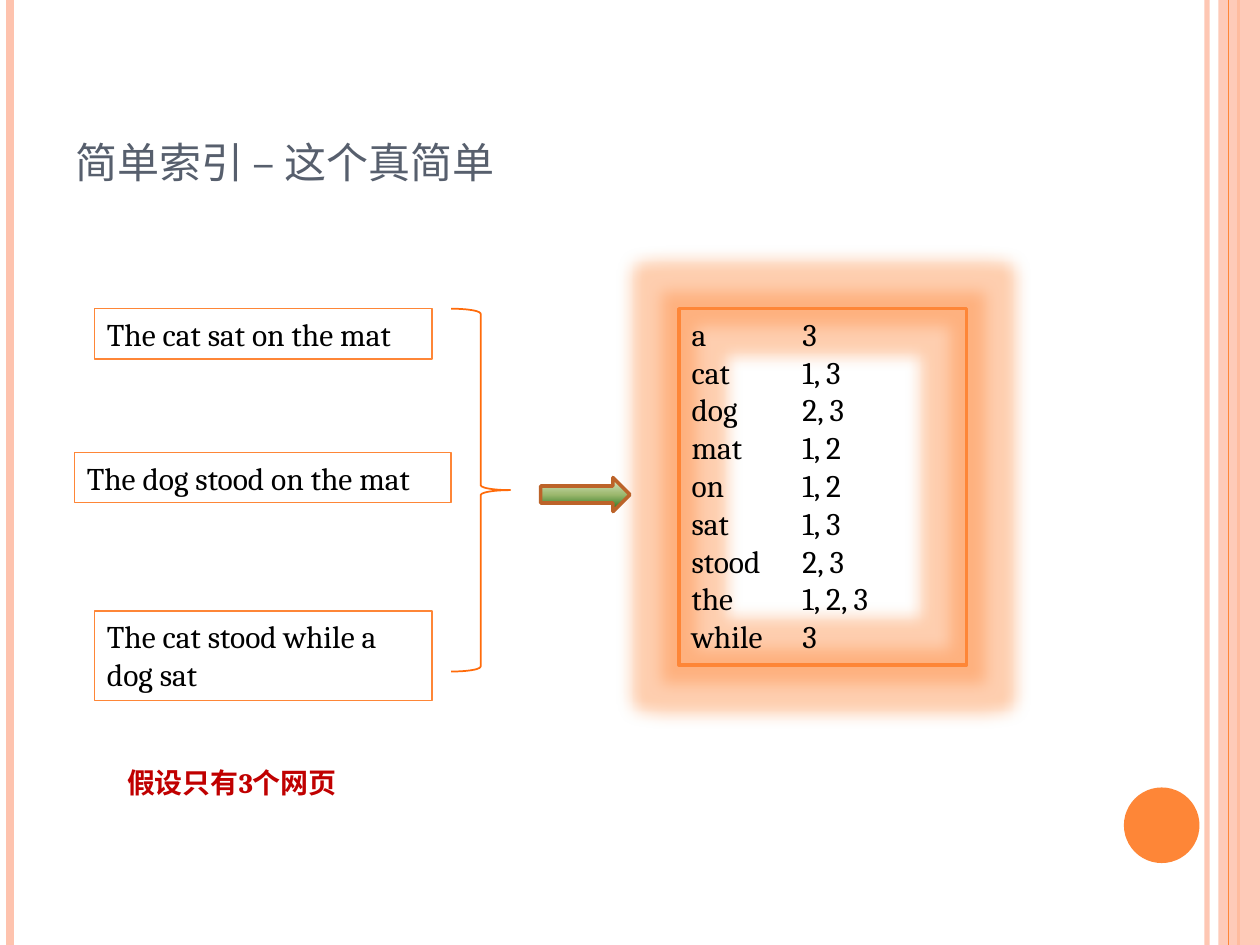
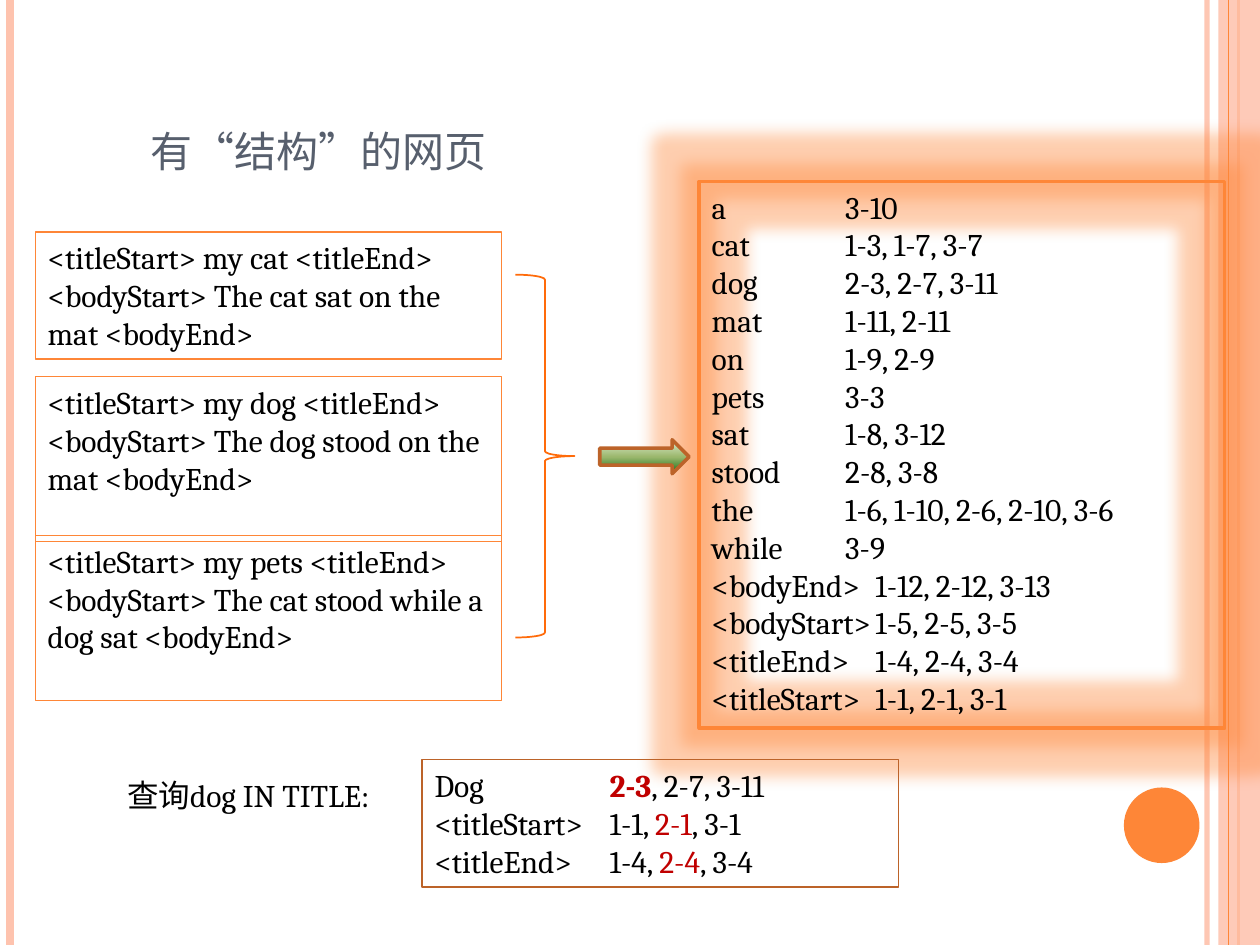
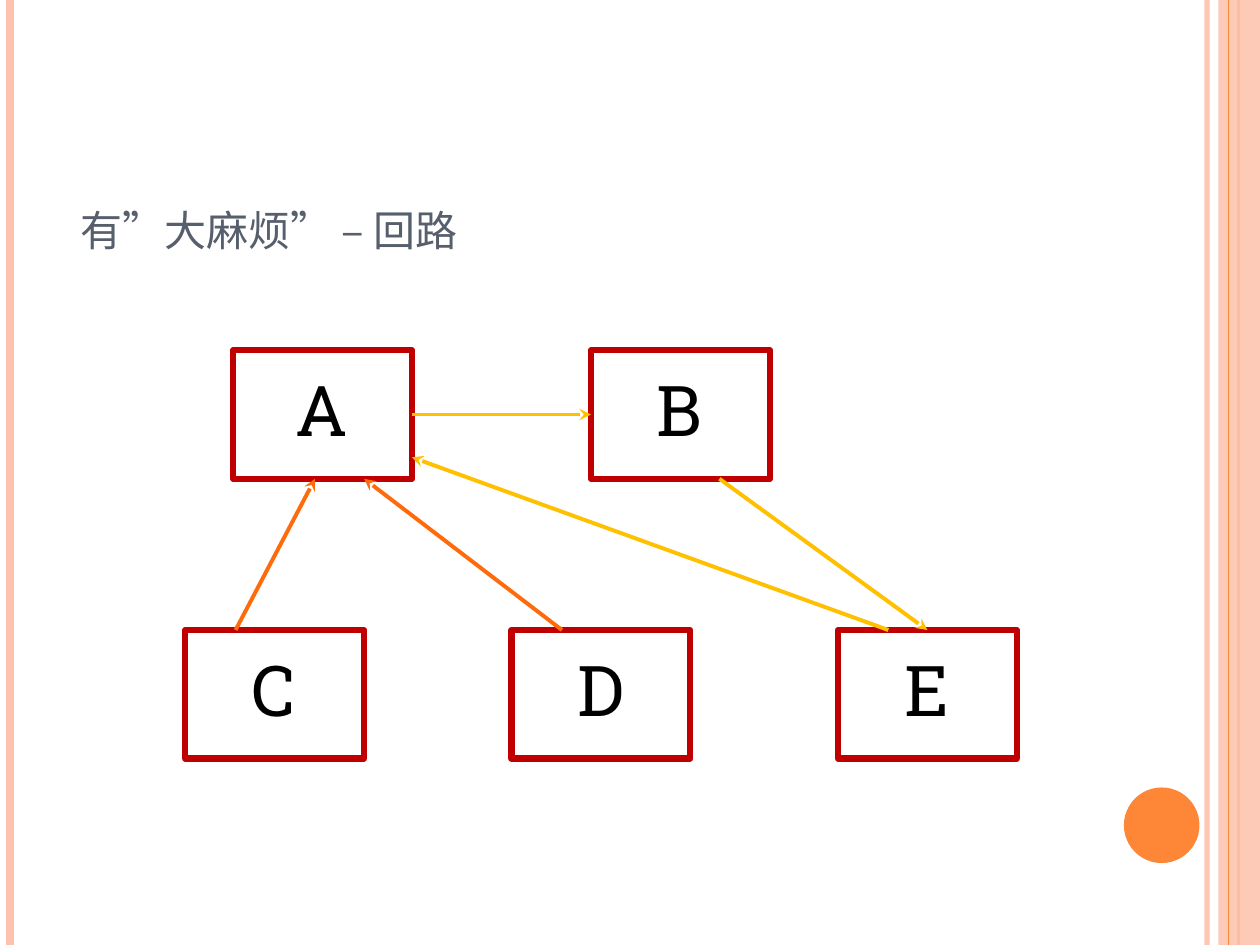
"""Three slides on building a web index, with a shared frame and title style."""
from lxml import etree
from pptx import Presentation
from pptx import util as u
from pptx.dml.color import RGBColor
from pptx.enum import shapes, text
from pptx.oxml import ns

HUES = {"ink": "000000", "title": "575F6D", "main": "FE8637", "pale": "FEC3AE",
        "deep": "FF6B0A", "rust": "BC6329", "red": "C00000", "gold": "FFC000"}
GREENS = {0: "DDEBCF", 50: "9CB86E", 100: "156B13"}
BODY, SLAB = "Cambria", "Roboto Slab"
KIND = shapes.MSO_SHAPE
WIDE, HIGH = 1.42, 1.02


def hue(name):
    """Return the named colour."""
    return RGBColor.from_string(HUES[name])


def sub(node, tag, **attrs):
    """Add a drawing element below a node."""
    child = etree.SubElement(node, ns.qn(tag))
    for key, val in attrs.items():
        child.set(key, str(val))
    return child


def fade(fill, share):
    """Set the opacity of a solid fill in percent."""
    color = fill._xPr.find(".//" + ns.qn("a:srgbClr"))
    sub(color, "a:alpha", val=share * 1000)


def edge(item, name, width):
    """Set the line of a shape or connector."""
    item.line.color.rgb = hue(name)
    item.line.width = u.Pt(width)


def shape(home, kind, at, fill=None, line=None, width=1):
    """Add a preset shape without shadow."""
    item = home.add_shape(kind, *map(u.Inches, at))
    item.shadow.inherit = False
    if fill:
        item.fill.solid()
        item.fill.fore_color.rgb = hue(fill)
    else:
        item.fill.background()
    if line:
        edge(item, line, width)
    else:
        item.line.fill.background()
    return item


def link(home, start, end, name, width, head=False):
    """Add a straight line, with an arrowhead at its end on request."""
    item = home.add_connector(shapes.MSO_CONNECTOR.STRAIGHT,
                              *map(u.Inches, (*start, *end)))
    edge(item, name, width)
    if head:
        sub(item.line._ln, "a:tailEnd", type="stealth")
    sub(item._element.spPr, "a:effectLst")
    return item


def stops(para, tabs):
    """Set the tab stops of a paragraph."""
    props = para._p.get_or_add_pPr()
    group = etree.Element(ns.qn("a:tabLst"))
    for tab in tabs:
        sub(group, "a:tab", pos=u.Inches(tab), algn="l")
    props.insert(0, group)


def write(home, at, rows, size=18, name="ink", font=BODY, bold=False, tabs=()):
    """Add a text box; a row is a string or a list of (words, colour, bold)."""
    box = home.add_textbox(*map(u.Inches, at))
    frame = box.text_frame
    frame.word_wrap = True
    for num, row in enumerate(rows):
        para = frame.add_paragraph() if num else frame.paragraphs[0]
        para.font.size, para.font.name = u.Pt(size), font
        para.font.bold, para.font.color.rgb = bold, hue(name)
        if tabs:
            stops(para, tabs)
        for words, tint, heavy in [(row, None, None)] if isinstance(row, str) else row:
            run = para.add_run()
            run.text = words
            if tint:
                run.font.color.rgb, run.font.bold = hue(tint), heavy
    return box


def title(home, at, words):
    """Add a small-caps title that sits on the bottom of its box."""
    box = write(home, at, [words], 30, "title")
    box.text_frame.vertical_anchor = text.MSO_ANCHOR.BOTTOM
    box.text_frame.paragraphs[0].runs[0]._r.get_or_add_rPr().set("cap", "small")


def page(deck, at, words):
    """Add a slide with the side bands, the disc and a title."""
    home = deck.slides.add_slide(deck.slide_layouts[6]).shapes

    def rule(x, name, width):
        return link(home, (x, 0), (x, 7.5), name, width)

    fade(rule(9.58, "pale", 3).line.fill, 93)
    rule(0.08, "pale", 4.5)
    rule(9.83, "main", 1.5)
    fade(shape(home, KIND.RECTANGLE, (9.67, 0, 0.33, 7.5), "pale").fill, 87)
    rule(9.75, "main", 0.75)
    shape(home, KIND.OVAL, (8.92, 6.25, 0.6, 0.6), "main")
    title(home, at, words)
    return home


def card(home, at, rows, name="main", **style):
    """Add a text box with a thin border."""
    edge(write(home, at, rows, **style), name, 0.75)


def index(home, at, rows, tabs):
    """Add a glowing box of index entries."""
    box = write(home, at, rows, tabs=tabs)
    edge(box, "main", 2)
    glow = sub(sub(box._element.spPr, "a:effectLst"), "a:glow", rad=u.Pt(18))
    sub(sub(glow, "a:srgbClr", val=HUES["main"]), "a:alpha", val=40000)


def brace(home, x, y):
    """Add the brace that gathers the pages."""
    item = shape(home, KIND.RIGHT_BRACE, (x, y, 0.47, 2.88), line="deep")
    item.adjustments[0], item.adjustments[1] = 0.083, 0.5


def arrow(home, x, y):
    """Add the green block arrow."""
    item = shape(home, KIND.RIGHT_ARROW, (x, y, 0.71, 0.27), line="rust", width=2)
    item.fill.gradient()
    item.fill.gradient_angle = 270
    group = item._element.spPr.find(".//" + ns.qn("a:gsLst"))
    for stop in list(group):
        group.remove(stop)
    for pos, code in GREENS.items():
        sub(sub(group, "a:gs", pos=pos * 1000), "a:srgbClr", val=code)


def node(home, x, y, name):
    """Add a framed letter of the link graph."""
    group = home.add_group_shape().shapes
    box = write(group, (x + 0.39, y + 0.08, 0.63, 0.77), [name], 40, font=SLAB)
    box.text_frame.paragraphs[0].alignment = text.PP_ALIGN.CENTER
    shape(group, KIND.RECTANGLE, (x, y, WIDE, HIGH), line="red", width=3.5)


def simple(deck):
    """Build the slide on the simple index."""
    home = page(deck, (0.5, 0.3, 8.17, 1.25), "简单索引 – 这个真简单")
    card(home, (0.75, 2.45, 2.68, 0.4), ["The cat sat on the mat"])
    card(home, (0.75, 4.85, 2.68, 0.71), ["The cat stood while a dog sat"])
    card(home, (0.59, 3.59, 2.99, 0.4), ["The dog stood on the mat"])
    brace(home, 3.58, 2.45)
    index(home, (5.39, 2.45, 2.28, 2.83),
          ["a\t3", "cat\t1, 3", "dog\t2, 3", "mat\t1, 2", "on\t1, 2", "sat\t1, 3",
           "stood\t2, 3", "the\t1, 2, 3", "while\t3"], [0.88])
    arrow(home, 4.29, 3.79)
    write(home, (0.91, 6.03, 2.68, 0.37), ["假设只有3个网页"], 16, "red", bold=True)


def tagged(deck):
    """Build the slide on pages with structure."""
    home = page(deck, (1.1, 0.84, 7.33, 0.62), "有“结构”的网页")
    for y, high, head, body in (
            (1.84, 1.01, "my cat", "The cat sat on the mat"),
            (4.25, 1.31, "my pets", "The cat stood while a dog sat"),
            (2.99, 1.31, "my dog", "The dog stood on the mat")):
        card(home, (0.28, y, 3.7, high),
             [f"<titleStart> {head} <titleEnd> <bodyStart> {body} <bodyEnd>"])
    brace(home, 4.09, 2.18)
    index(home, (5.55, 1.44, 4.17, 4.34),
          ["a\t3-10", "cat\t1-3, 1-7, 3-7", "dog\t2-3, 2-7, 3-11",
           "mat\t1-11, 2-11", "on\t1-9, 2-9", "pets\t3-3", "sat\t1-8, 3-12",
           "stood\t2-8, 3-8", "the\t1-6, 1-10, 2-6, 2-10, 3-6", "while\t3-9",
           "<bodyEnd>\t1-12, 2-12, 3-13", "<bodyStart>\t1-5, 2-5, 3-5",
           "<titleEnd>\t1-4, 2-4, 3-4", "<titleStart>\t1-1, 2-1, 3-1"],
          [1.06, 1.3])
    arrow(home, 4.76, 3.49)
    write(home, (0.91, 6.11, 2.28, 0.4), ["查询dog IN TITLE:"])
    hits = [("Dog\t", "2-3", ", 2-7, 3-11", True),
            ("<titleStart>\t1-1, ", "2-1", ", 3-1", False),
            ("<titleEnd>\t1-4, ", "2-4", ", 3-4", False)]
    card(home, (3.35, 6.03, 3.78, 1.01),
         [[(pre, None, None), (hit, "red", heavy), (post, None, None)]
          for pre, hit, post, heavy in hits], "rust", tabs=[1.39])


def loop(deck):
    """Build the slide on the link loop."""
    home = page(deck, (0.54, 0.84, 9.08, 1.25), "有”大麻烦” – 回路")
    spots = {"A": (1.85, 2.78), "E": (6.65, 5), "D": (4.06, 5),
             "C": (1.47, 5), "B": (4.69, 2.78)}
    for name, (x, y) in spots.items():
        node(home, x, y, name)
    for start, end, name in (
            ((3.27, 3.29), (4.69, 3.29), "gold"),
            ((1.87, 5), (2.5, 3.8), "deep"),
            ((4.46, 5), (2.89, 3.8), "deep"),
            ((7.05, 5), (3.27, 3.63), "gold"),
            ((5.71, 3.8), (7.36, 5), "gold")):
        link(home, start, end, name, 2.25, head=True)


def main():
    """Build and save the deck."""
    deck = Presentation()
    deck.slide_width, deck.slide_height = u.Inches(10), u.Inches(7.5)
    simple(deck)
    tagged(deck)
    loop(deck)
    deck.save("out.pptx")


if __name__ == "__main__":
    main()
